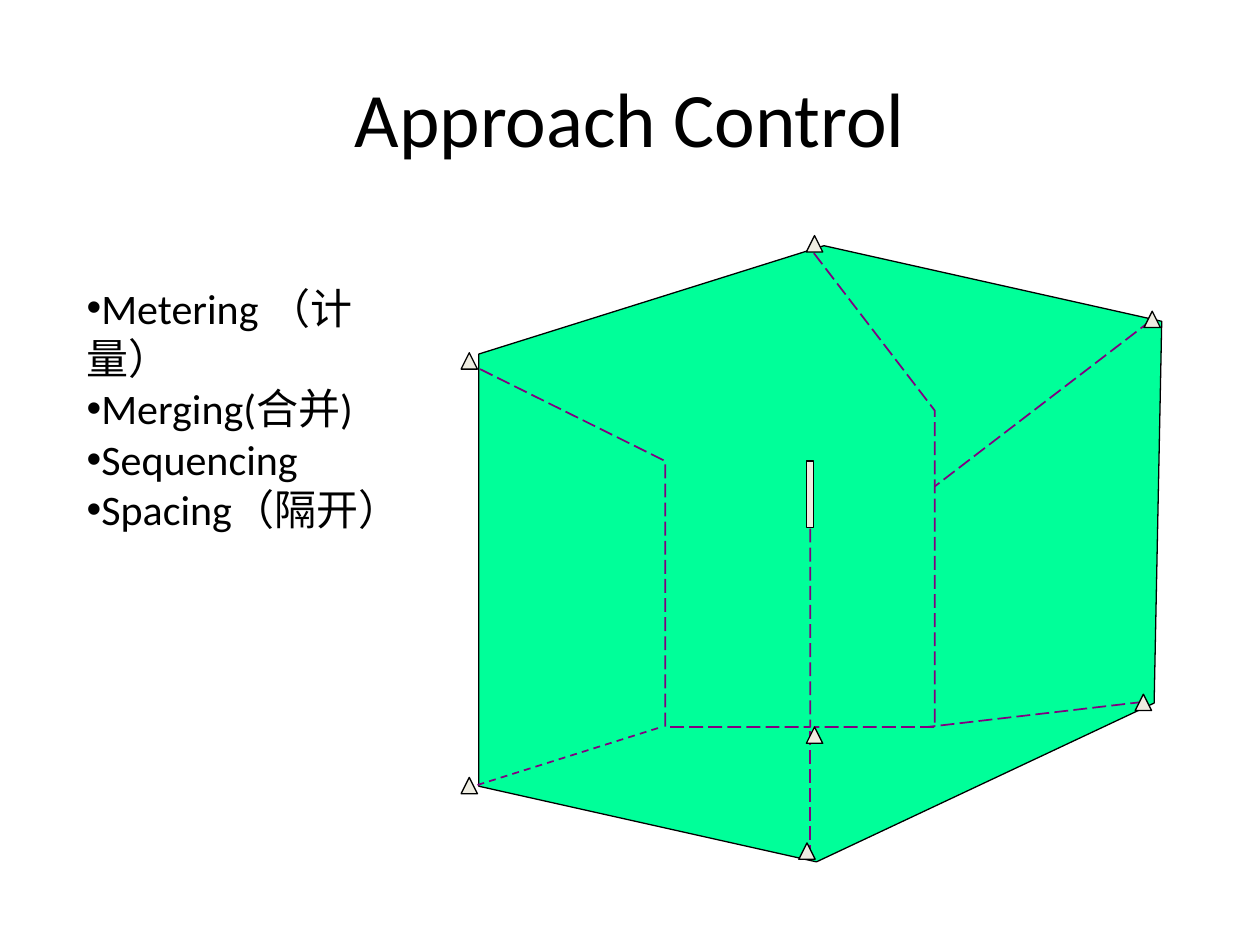
"""Build the Approach Control slide: airspace outline, routes and task list."""
from lxml import etree
from pptx import Presentation
from pptx import util as u
from pptx.dml.color import RGBColor
from pptx.enum import dml, shapes, text
from pptx.oxml.ns import qn

HUES = {"zone": "00FF99", "route": "800080", "mark": "EEECE1", "ink": "000000"}
LONG, DASH = dml.MSO_LINE.LONG_DASH, dml.MSO_LINE.DASH
ROUTE = {"color": "route", "width": 1, "dash": LONG}
EDGE = {"color": "ink", "width": 0.75, "dash": None}

deck = Presentation()
deck.slide_width, deck.slide_height = u.Inches(10), u.Inches(7.5)
slide = deck.slides.add_slide(deck.slide_layouts[6])
items = slide.shapes


def paint(item, edge, fill=None):
    """Give a shape or connector its line, fill and no shadow."""
    line = item.line
    line.color.rgb = RGBColor.from_string(HUES[edge["color"]])
    for name, value in {"width": u.Pt(edge["width"]), "dash_style": edge["dash"]}.items():
        setattr(line, name, value)
    if isinstance(item, type(items[0])) and hasattr(item, "fill"):
        item.shadow.inherit = False
        if fill:
            item.fill.solid()
            item.fill.fore_color.rgb = RGBColor.from_string(HUES[fill])
        else:
            item.fill.background()
    else:
        etree.SubElement(item._element.spPr, qn("a:effectLst"))


def trace(spots, edge, fill=None):
    """Draw a path through the spots, closed when it has a fill."""
    pts = [(u.Inches(x), u.Inches(y)) for x, y in spots]
    pen = items.build_freeform(*pts[0], scale=1.0)
    pen.add_line_segments(pts[1:], close=bool(fill))
    paint(pen.convert_to_shape(), edge, fill)


boxes = [
    {"at": (0.5, 0.3, 9, 1.25), "size": 44, "bullet": False,
     "align": text.PP_ALIGN.CENTER, "anchor": text.MSO_ANCHOR.MIDDLE,
     "lines": ["Approach Control"]},
    {"at": (0.59, 2.19, 2.77, 1.72), "size": 24, "bullet": True,
     "align": text.PP_ALIGN.LEFT, "anchor": text.MSO_ANCHOR.TOP,
     "lines": ["Metering （计量）", "Merging(合并)", "Sequencing", "Spacing（隔开）"]},
]
for box in boxes:
    frame = items.add_textbox(*map(u.Inches, box["at"])).text_frame
    frame.text = "\n".join(box["lines"])
    for name, value in {"word_wrap": True, "vertical_anchor": box["anchor"]}.items():
        setattr(frame, name, value)
    for para in frame.paragraphs:
        para.alignment = box["align"]
        if box["bullet"]:
            props = para._p.get_or_add_pPr()
            etree.SubElement(props, qn("a:buFont"), typeface="Arial")
            etree.SubElement(props, qn("a:buChar"), char="•")
        for name, value in {"name": "Calibri", "size": u.Pt(box["size"])}.items():
            setattr(para.font, name, value)
        para.font.color.rgb = RGBColor.from_string(HUES["ink"])

trace([(3.8, 6.24), (3.8, 2.81), (6.54, 1.95), (9.22, 2.55), (9.16, 5.58), (6.48, 6.84)],
      EDGE, "zone")
trace([(6.46, 2.01), (7.42, 3.26), (7.42, 5.77), (6.46, 5.77)], ROUTE)
trace([(3.81, 2.93), (5.28, 3.66), (5.28, 5.77), (6.43, 5.77), (6.43, 4.19)], ROUTE)

legs = [
    (9.14, 2.54, 7.42, 3.86, LONG),
    (9.08, 5.57, 7.36, 5.77, LONG),
    (6.43, 6.82, 6.43, 5.77, LONG),
    (3.79, 6.23, 5.25, 5.77, DASH),
]
for *ends, dash in legs:
    leg = items.add_connector(shapes.MSO_CONNECTOR.STRAIGHT, *map(u.Inches, ends))
    paint(leg, {**ROUTE, "dash": dash})

strip = items.add_shape(shapes.MSO_SHAPE.RECTANGLE,
                        *map(u.Inches, (6.4, 3.66, 0.06, 0.53)))
paint(strip, EDGE, "mark")

fixes = [(3.66, 2.8), (3.66, 6.17), (6.4, 5.77), (9.01, 5.51),
         (9.08, 2.47), (6.4, 1.87), (6.34, 6.69)]
for x, y in fixes:
    fix = items.add_shape(shapes.MSO_SHAPE.ISOSCELES_TRIANGLE,
                          *map(u.Inches, (x, y, 0.13, 0.13)))
    paint(fix, EDGE, "mark")

deck.save("out.pptx")
